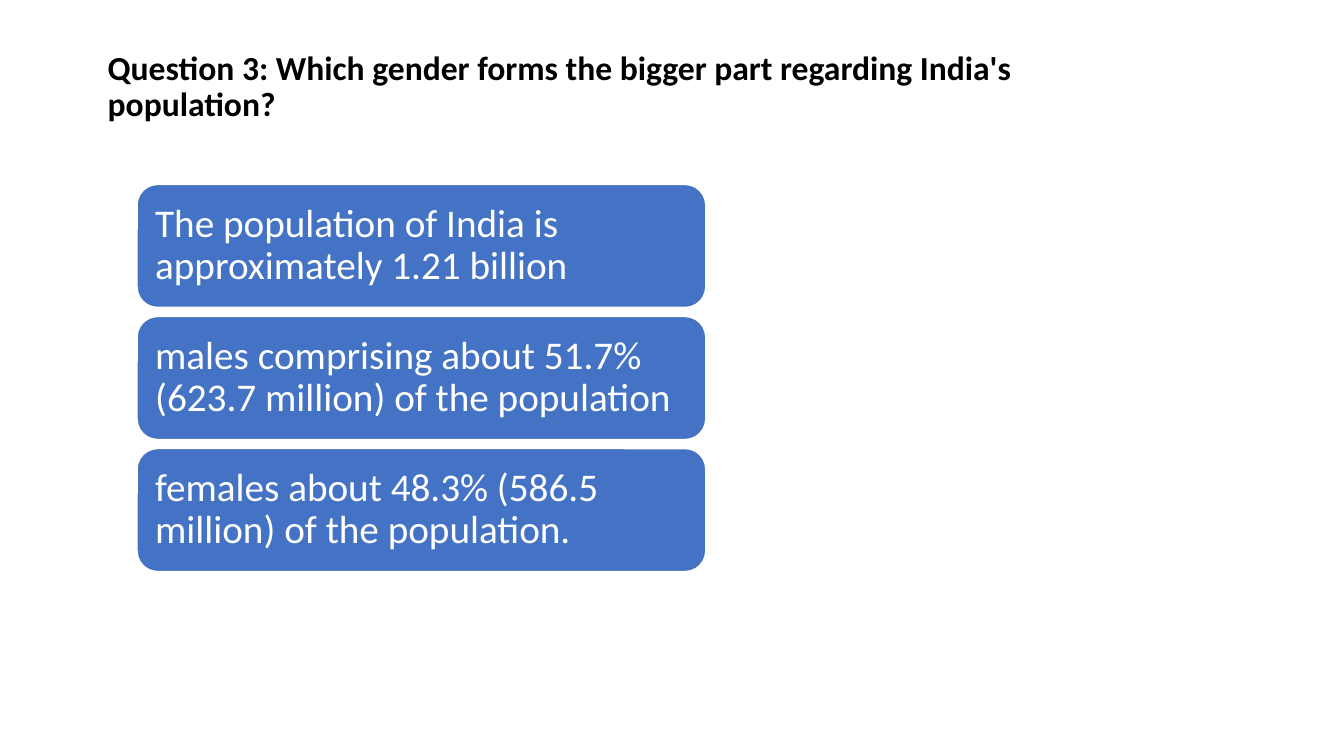
from pptx import Presentation
from pptx.dml.color import RGBColor
from pptx.enum.shapes import MSO_SHAPE
from pptx.enum.text import MSO_ANCHOR, PP_ALIGN
from pptx.util import Inches, Pt

COLORS = {"title": "000000", "card": "4472C4", "white": "FFFFFF"}


class SlideBuilder:
    """Holds the style and the current slide."""

    font_name = "Calibri"
    line_spacing = 0.9

    def __init__(self, slide):
        """Keep the slide that receives the elements."""
        self.slide = slide

    def color(self, name):
        """Return a named colour."""
        return RGBColor.from_string(COLORS[name])

    def set_text(self, shape, text, size, color, anchor, bold=False):
        """Put one left-aligned paragraph in a shape."""
        frame = shape.text_frame
        frame.word_wrap = True
        frame.vertical_anchor = anchor
        paragraph = frame.paragraphs[0]
        paragraph.text = text
        paragraph.alignment = PP_ALIGN.LEFT
        paragraph.line_spacing = self.line_spacing
        paragraph.font.name = self.font_name
        paragraph.font.size = Pt(size)
        paragraph.font.bold = bold
        paragraph.font.color.rgb = self.color(color)
        return frame

    def title(self, text, left, top, width, height):
        """Add the bold question above the cards."""
        box = self.slide.shapes.add_textbox(
            Inches(left), Inches(top), Inches(width), Inches(height))
        self.set_text(box, text, 24, "title", MSO_ANCHOR.BOTTOM, bold=True)

    def card(self, text, left, top, width, height):
        """Add a rounded card with a fact."""
        card = self.slide.shapes.add_shape(
            MSO_SHAPE.ROUNDED_RECTANGLE,
            Inches(left), Inches(top), Inches(width), Inches(height))
        card.shadow.inherit = False
        card.fill.solid()
        card.fill.fore_color.rgb = self.color("card")
        card.line.color.rgb = self.color("white")
        card.line.width = Pt(1)
        frame = self.set_text(card, text, 28, "white", MSO_ANCHOR.MIDDLE)
        frame.margin_left = frame.margin_right = Inches(0.12)
        frame.margin_top = frame.margin_bottom = Inches(0.12)


presentation = Presentation()
presentation.slide_width = Inches(13.33)
presentation.slide_height = Inches(7.5)
builder = SlideBuilder(presentation.slides.add_slide(presentation.slide_layouts[6]))

builder.title(
    "Question 3: Which gender forms the bigger part regarding India's population?",
    0.97, 0.38, 10.37, 0.9)

FACTS = [
    "The population of India is approximately 1.21 billion",
    "males comprising about 51.7% (623.7 million) of the population",
    "females about 48.3% (586.5 million) of the population.",
]
CARD_TOP, CARD_HEIGHT, CARD_GAP = 1.83, 1.22, 0.09
for index, fact in enumerate(FACTS):
    top = CARD_TOP + index * (CARD_HEIGHT + CARD_GAP)
    builder.card(fact, 1.36, top, 5.64, CARD_HEIGHT)

presentation.save("out.pptx")
